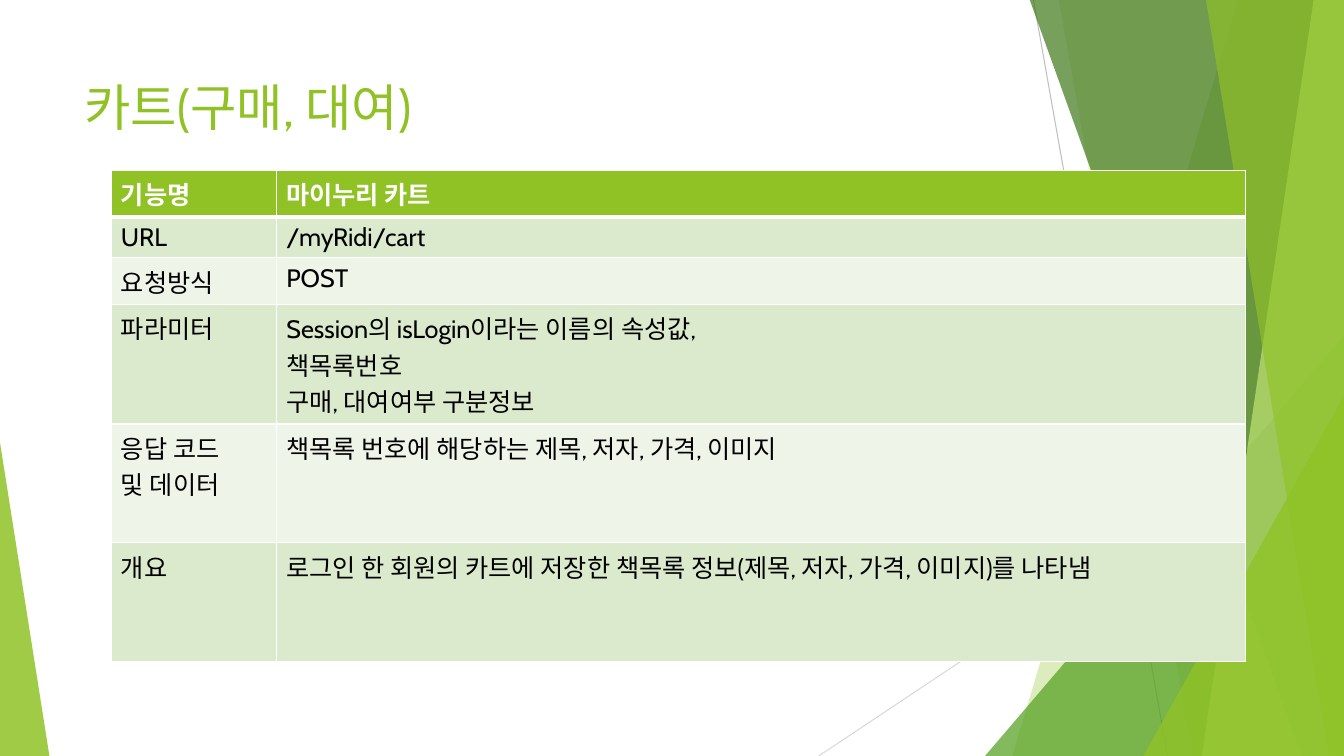
import pptx
import pptx.util
import pptx.dml.color
import pptx.enum.shapes
import pptx.enum.text
import pptx.oxml
import pptx.oxml.ns

Inches = pptx.util.Inches
Pt = pptx.util.Pt
FONT = "Cabin"
COLORS = {
    "green": "90C226", "leaf": "54A021", "forest": "3F7819", "lime": "C0E474",
    "band_dark": "DBE9CD", "band_light": "EEF4E8", "white": "FFFFFF",
    "black": "000000", "line_dark": "BFBFBF", "line_light": "D9D9D9",
}
ROWS = [
    ("기능명", "마이누리 카트", 0.39),
    ("URL", "/myRidi/cart", 0.39),
    ("요청방식", "POST", 0.4),
    ("파라미터", "Session의 isLogin이라는 이름의 속성값,\n책목록번호\n구매, 대여여부 구분정보", 1.03),
    ("응답 코드\n및 데이터", "책목록 번호에 해당하는 제목, 저자, 가격, 이미지", 1.18),
    ("개요", "로그인 한 회원의 카트에 저장한 책목록 정보(제목, 저자, 가격, 이미지)를 나타냄", 1.18),
]


def color(name):
    """Return the named palette colour."""
    return pptx.dml.color.RGBColor.from_string(COLORS[name])


def drawing_element(xml):
    """Parse one DrawingML element."""
    namespace = pptx.oxml.ns.nsdecls("a")
    return pptx.oxml.parse_xml(xml.replace(">", f" {namespace}>", 1) if "/>" not in xml.split(">")[0] + ">"
                               else xml.replace("/>", f" {namespace}/>", 1))


def style_text(text_frame, size, name, bold=False):
    """Apply one font style to every run."""
    for paragraph in text_frame.paragraphs:
        for run in paragraph.runs:
            run.font.name = FONT
            run.font.size = Pt(size)
            run.font.bold = bold
            run.font.color.rgb = color(name)


def paint(shape, name, opacity):
    """Fill a facet with a translucent colour and no outline."""
    shape.shadow.inherit = False
    shape.line.fill.background()
    shape.fill.solid()
    shape.fill.fore_color.rgb = color(name)
    fill = shape.fill._xPr.find(pptx.oxml.ns.qn("a:solidFill"))
    fill[0].append(drawing_element(f'<a:alpha val="{opacity * 1000}"/>'))


def add_ray(slide, start, end, name):
    """Draw a thin background line."""
    ray = slide.shapes.add_connector(
        pptx.enum.shapes.MSO_CONNECTOR.STRAIGHT, *map(Inches, start + end))
    ray.line.color.rgb = color(name)
    ray.line.width = Pt(0.75)
    ray._element.spPr.append(drawing_element("<a:effectLst/>"))


def add_band(slide, box, top_left, bottom_left, name, opacity):
    """Draw a facet running down the right edge of the box."""
    left, top, width, height = box
    right, bottom = left + width, top + height
    corners = [(top_left, top), (right, top), (right, bottom), (bottom_left, bottom)]
    points = [(Inches(x), Inches(y)) for x, y in corners]
    builder = slide.shapes.build_freeform(*points[0], scale=1)
    builder.add_line_segments(points[1:], close=True)
    paint(builder.convert_to_shape(), name, opacity)


def add_triangle(slide, box, apex, name, opacity):
    """Draw a triangular facet with its apex at the given fraction."""
    triangle = slide.shapes.add_shape(
        pptx.enum.shapes.MSO_SHAPE.ISOSCELES_TRIANGLE, *map(Inches, box))
    triangle.adjustments[0] = apex
    paint(triangle, name, opacity)


def add_facets(slide, box):
    """Draw the layered green facets of the background."""
    left, top, width, height = box
    right, bottom = left + width, top + height
    edge = (left, top - 0.01, width, height + 0.01)
    add_ray(slide, (10.25, top), (11.58, bottom), "line_dark")
    add_ray(slide, (right, 4.03), (8.12, bottom), "line_light")
    add_band(slide, edge, 12.28, 10.04, "green", 30)
    add_band(slide, edge, 10.5, 11.83, "green", 20)
    add_triangle(slide, (right - 3.56, bottom - 4.17, 3.56, 4.17), 1, "leaf", 72)
    add_band(slide, edge, 10.21, 12.91, "forest", 70)
    add_band(slide, edge, 13.03, 11.92, "lime", 70)
    add_band(slide, edge, 11.96, 13.18, "green", 65)
    add_triangle(slide, (right - 1.99, bottom - 3.57, 1.99, 3.57), 1, "green", 80)
    add_triangle(slide, (left, bottom - 3.11, 0.49, 3.11), 0, "green", 85)


def add_title(slide, box, text):
    """Place the slide title."""
    text_frame = slide.shapes.add_textbox(*map(Inches, box)).text_frame
    text_frame.word_wrap = True
    text_frame.vertical_anchor = pptx.enum.text.MSO_ANCHOR.MIDDLE
    text_frame.text = text
    style_text(text_frame, 36, "green")


def set_borders(cell, top, bottom):
    """Give a cell white borders with the given top and bottom widths."""
    properties = cell._tc.get_or_add_tcPr()
    for index, (side, width) in enumerate(zip("LRTB", (1, 1, top, bottom))):
        properties.insert(index, drawing_element(
            f'<a:ln{side} w="{Pt(width)}"><a:solidFill>'
            f'<a:srgbClr val="{COLORS["white"]}"/></a:solidFill></a:ln{side}>'))


def add_api_table(slide, box):
    """Place the request description table."""
    table = slide.shapes.add_table(len(ROWS), 2, *map(Inches, box)).table
    table.columns[0].width = Inches(1.64)
    table.columns[1].width = Inches(box[2] - 1.64)
    for index, (label, detail, height) in enumerate(ROWS):
        table.rows[index].height = Inches(height)
        header = index == 0
        fill = "green" if header else ("band_light", "band_dark")[index % 2]
        for column, text in enumerate((label, detail)):
            cell = table.cell(index, column)
            cell.text_frame.text = text
            style_text(cell.text_frame, 18, "white" if header else "black", header)
            cell.fill.solid()
            cell.fill.fore_color.rgb = color(fill)
            set_borders(cell, 3 if index == 1 else 1, 3 if header else 1)


def main():
    """Build and save the presentation."""
    presentation = pptx.Presentation()
    presentation.slide_width = Inches(13.33)
    presentation.slide_height = Inches(7.5)
    slide = presentation.slides.add_slide(presentation.slide_layouts[6])
    add_facets(slide, (0, 0, 13.33, 7.5))
    add_api_table(slide, (1.1, 1.69, 11.25, 4.57))
    add_title(slide, (0.74, 0.67, 9.4, 0.77), "카트(구매, 대여)")
    presentation.save("out.pptx")


if __name__ == "__main__":
    main()
